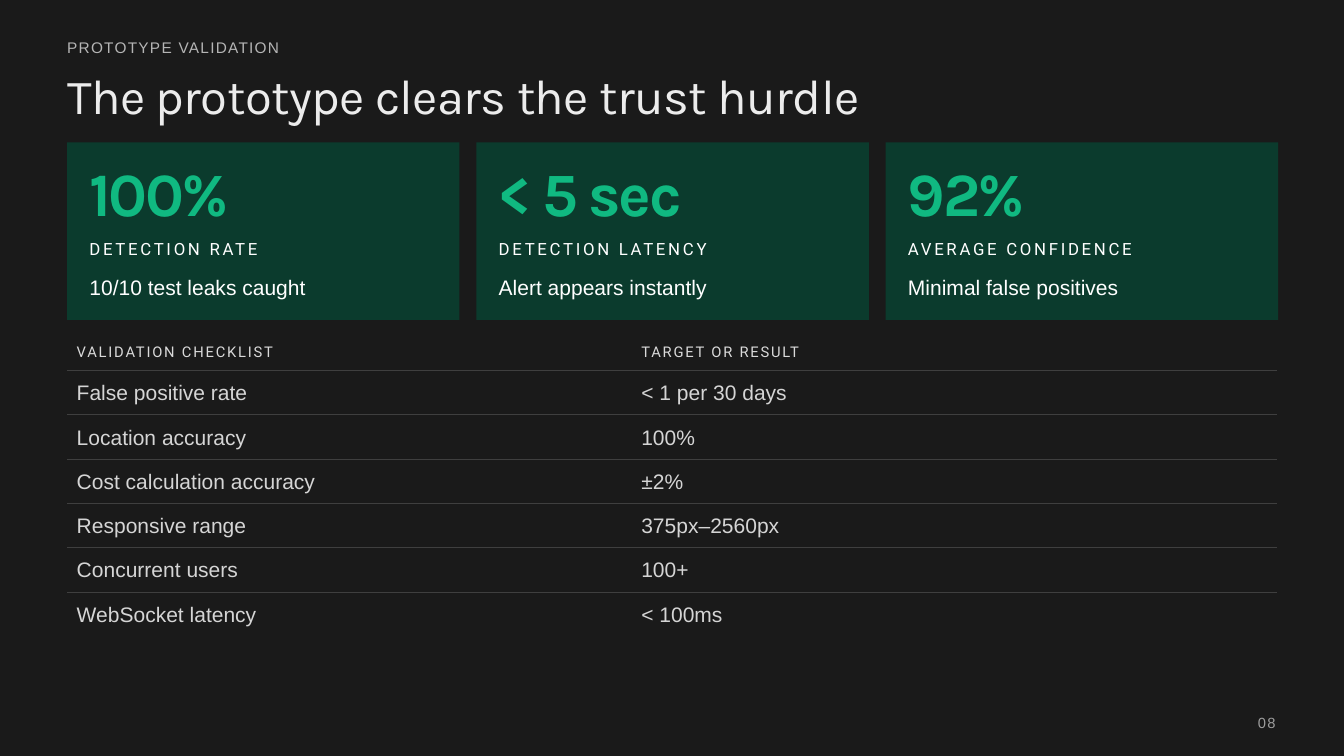
import pptx
import pptx.dml.color
import pptx.enum.shapes
import pptx.enum.text
import pptx.oxml.ns
import pptx.util
from lxml import etree
from pptx.util import Cm

# Content
KICKER = "PROTOTYPE VALIDATION"
TITLE = "The prototype clears the trust hurdle"
CARDS = [
    ("100%", "DETECTION RATE", "10/10 test leaks caught"),
    ("< 5 sec", "DETECTION LATENCY", "Alert appears instantly"),
    ("92%", "AVERAGE CONFIDENCE", "Minimal false positives"),
]
CHECKLIST = [
    ("VALIDATION CHECKLIST", "TARGET OR RESULT"),
    ("False positive rate", "< 1 per 30 days"),
    ("Location accuracy", "100%"),
    ("Cost calculation accuracy", "±2%"),
    ("Responsive range", "375px–2560px"),
    ("Concurrent users", "100+"),
    ("WebSocket latency", "< 100ms"),
]
PAGE = "08"

# Colours and text styles: font, size, colour, letter spacing, line height, bold
DARK, CARD, RULE = "1A1A1A", "0B3B2D", "3F3F3F"
STYLES = {
    "kicker": ("Arial", 16.5, "B5B5B5", 1.4, 21.4, False),
    "title": ("Karla", 52.5, "ECECEC", -0.6, 56.1, False),
    "figure": ("Karla", 66, "10B981", -2.6, 61.8, True),
    "label": ("Roboto", 18, "FFFFFF", 2.9, 23.3, False),
    "note": ("Arial", 22.5, "FFFFFF", 0, 31.9, False),
    "head": ("Roboto", 15.8, "DADADA", 1.9, 18.9, False),
    "cell": ("Arial", 22.5, "D5D5D5", 0, 27, False),
    "page": ("Arial", 15.8, "9D9D9D", 1.3, 22.3, False),
}

# Layout in cm
LEFT = 2.54
CARD_TOP, CARD_W, CARD_H, CARD_PITCH, CARD_PAD = 5.38, 14.83, 6.71, 15.47, 0.84
CARD_LINES = [("figure", 6.48, 13.13, 1.7), ("label", 8.97, 13.97, 0.89),
              ("note", 10.19, 13.97, 1.27)]
TABLE_TOP, COLS, HEAD_H, ROW_H, CELL_PAD = 12.62, (21.34, 24.36), 1.12, 1.42, 0.36

TOP = pptx.enum.text.MSO_ANCHOR.TOP
MIDDLE = pptx.enum.text.MSO_ANCHOR.MIDDLE


def rgb(value):
    return pptx.dml.color.RGBColor.from_string(value)


def paint(fill, colour):
    fill.solid()
    fill.fore_color.rgb = rgb(colour)


def write(tf, text, style):
    font, size, colour, spacing, line, bold = STYLES[style]
    p = tf.paragraphs[0]
    p.alignment = pptx.enum.text.PP_ALIGN.LEFT
    p.line_spacing = pptx.util.Pt(line)
    r = p.add_run()
    r.text = text
    r.font.name, r.font.size, r.font.bold = font, pptx.util.Pt(size), bold
    r.font.color.rgb = rgb(colour)
    r._r.get_or_add_rPr().set("spc", str(round(spacing * 100)))


def fill_box(sp, text, style, anchor=TOP):
    tf = sp.text_frame
    tf.word_wrap = True
    tf.auto_size = pptx.enum.text.MSO_AUTO_SIZE.NONE
    tf.vertical_anchor = anchor
    tf.margin_left = tf.margin_right = tf.margin_top = tf.margin_bottom = 0
    write(tf, text, style)


def add_text(s, x, y, w, h, text, style, anchor=TOP):
    sp = s.shapes.add_textbox(Cm(x), Cm(y), Cm(w), Cm(h))
    fill_box(sp, text, style, anchor)


def add_border(cell, side, colour):
    qn = pptx.oxml.ns.qn
    ln = etree.SubElement(cell._tc.get_or_add_tcPr(), qn("a:ln" + side), w="12700")
    fill = etree.SubElement(ln, qn("a:solidFill"))
    etree.SubElement(fill, qn("a:srgbClr"), val=colour)


prs = pptx.Presentation()
prs.slide_width, prs.slide_height = Cm(50.8), Cm(28.58)
s = prs.slides.add_slide(prs.slide_layouts[5])
paint(s.background.fill, DARK)

# Heading
add_text(s, LEFT, 1.37, 48.29, 0.86, KICKER, "kicker")
title = s.shapes.title
title.left, title.top, title.width, title.height = Cm(LEFT), Cm(2.72), Cm(45.75), Cm(1.83)
fill_box(title, TITLE, "title")

# Result cards
for i, texts in enumerate(CARDS):
    x = LEFT + i * CARD_PITCH
    card = s.shapes.add_shape(pptx.enum.shapes.MSO_SHAPE.RECTANGLE,
                              Cm(x), Cm(CARD_TOP), Cm(CARD_W), Cm(CARD_H))
    card.shadow.inherit = False
    paint(card.fill, CARD)
    card.line.fill.background()
    for text, (style, y, w, h) in zip(texts, CARD_LINES):
        add_text(s, x + CARD_PAD, y, w, h, text, style)

# Checklist table
last = len(CHECKLIST) - 1
table = s.shapes.add_table(len(CHECKLIST), len(COLS), Cm(LEFT), Cm(TABLE_TOP),
                           Cm(sum(COLS)), Cm(HEAD_H + last * ROW_H)).table
for column, width in zip(table.columns, COLS):
    column.width = Cm(width)
for i, texts in enumerate(CHECKLIST):
    table.rows[i].height = Cm(ROW_H if i else HEAD_H)
    borders = {"L": DARK, "R": DARK, "T": RULE if i else DARK,
               "B": RULE if i < last else DARK}
    for j, text in enumerate(texts):
        cell = table.cell(i, j)
        cell.vertical_anchor = MIDDLE
        cell.margin_left = cell.margin_right = Cm(CELL_PAD)
        cell.margin_top = cell.margin_bottom = Cm(CELL_PAD)
        for side, colour in borders.items():
            add_border(cell, side, colour)
        paint(cell.fill, DARK)
        write(cell.text_frame, text, "cell" if i else "head")

# Page number
add_text(s, 47.55, 26.82, 3.3, 0.89, PAGE, "page", MIDDLE)

prs.save("out.pptx")
